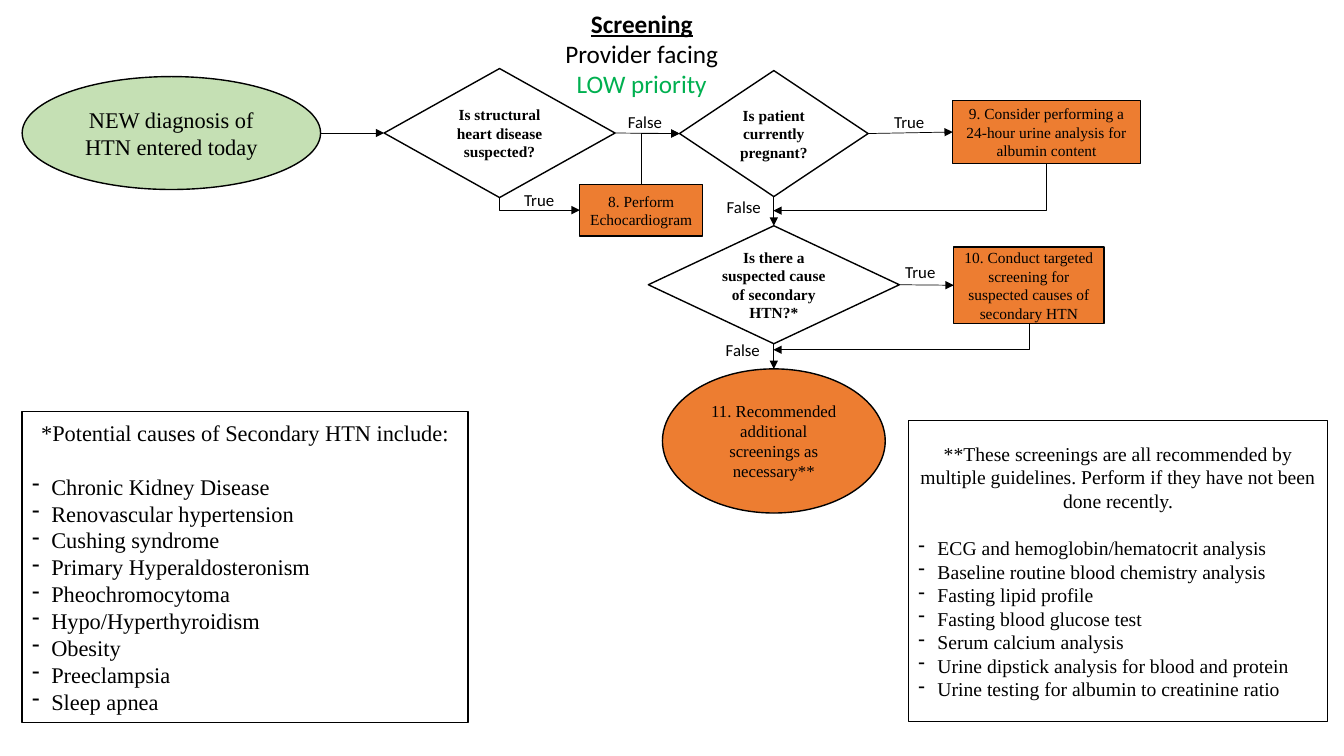
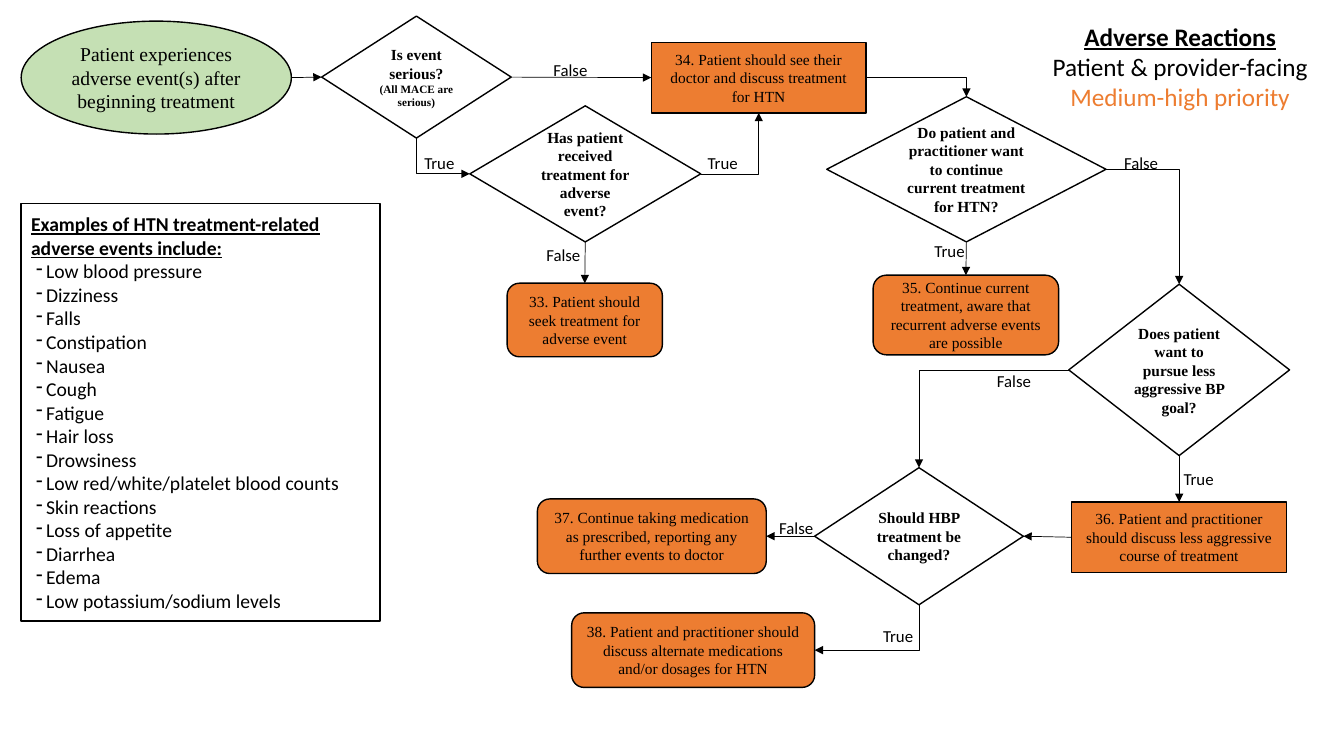
import typing

import pptx
import pptx.dml.color
import pptx.enum.shapes
import pptx.enum.text
import pptx.oxml.ns
import pptx.util
from lxml import etree

Inches = pptx.util.Inches
Pt = pptx.util.Pt
Form = pptx.enum.shapes.MSO_SHAPE
Link = pptx.enum.shapes.MSO_CONNECTOR
Align = pptx.enum.text.PP_ALIGN
Anchor = pptx.enum.text.MSO_ANCHOR

HUES = {"ink": "000000", "paper": "FFFFFF", "start": "C5E0B4",
        "act": "ED7D31", "low": "00B050"}
SERIF, SANS = "Times New Roman", "Calibri"


class Kind(typing.NamedTuple):
    form: typing.Any
    fill: str | None
    bold: bool = False


KINDS = {
    "start": Kind(Form.OVAL, "start"),
    "ask": Kind(Form.DIAMOND, None, True),
    "act": Kind(Form.RECTANGLE, "act"),
    "end": Kind(Form.ROUNDED_RECTANGLE, "act"),
    "last": Kind(Form.OVAL, "act"),
    "note": Kind(Form.RECTANGLE, "paper"),
}


class Box(typing.NamedTuple):
    kind: str
    left: float
    top: float
    wide: float
    high: float
    text: str = ""
    size: float = 11
    small: str = ""


Spot = tuple[float, float]
End = str | Spot  # "name side" or a free point


class Arrow(typing.NamedTuple):
    start: End
    stop: End
    turn: str = ""  # first leg of an elbow: "h" or "v"


class Label(typing.NamedTuple):
    text: str
    left: float
    top: float


class Note(typing.NamedTuple):
    box: Box
    head: str
    items: list[str]
    size: float
    font: str
    strong: bool  # bold, underlined heading on the left
    gap: float
    hang: float
    dent: float


class Title(typing.NamedTuple):
    left: float
    top: float
    wide: float
    name: str
    users: str
    rank: str
    hue: str


class Page(typing.NamedTuple):
    title: Title
    boxes: dict[str, Box]
    arrows: list[Arrow]
    labels: list[Label]
    notes: list[Note]


def tint(hue: str) -> pptx.dml.color.RGBColor:
    return pptx.dml.color.RGBColor.from_string(HUES[hue])


def write(frame, text: str, *, size: float = 11, font: str = SERIF, hue: str = "ink",
          bold: bool = False, under: bool = False, align=Align.CENTER,
          after: float = 0, hang: float = 0, dent: float = 0) -> None:
    """Add one paragraph; a hang makes it a dash bullet."""
    para = frame.paragraphs[0]
    if para.runs:
        para = frame.add_paragraph()
    para.alignment, para.line_spacing = align, 1.0
    para.space_before, para.space_after = Pt(0), Pt(after)
    run = para.add_run()
    run.text = text
    run.font.name, run.font.size = font, Pt(size)
    run.font.bold, run.font.underline = bold, under
    run.font.color.rgb = tint(hue)
    if hang:
        props = para._p.get_or_add_pPr()
        props.set("marL", str(Inches(dent)))
        props.set("indent", str(-Inches(hang)))
        mark = etree.SubElement(props, pptx.oxml.ns.qn("a:buChar"))
        mark.set("char", "-")


def place(box: Box) -> tuple:
    return tuple(Inches(n) for n in (box.left, box.top, box.wide, box.high))


def draw_box(slide, box: Box):
    kind = KINDS[box.kind]
    shape = slide.shapes.add_shape(kind.form, *place(box))
    shape.shadow.inherit = False
    if kind.fill:
        shape.fill.solid()
        shape.fill.fore_color.rgb = tint(kind.fill)
    else:
        shape.fill.background()
    shape.line.color.rgb, shape.line.width = tint("ink"), Pt(1)
    shape.text_frame.vertical_anchor = Anchor.MIDDLE
    if box.text:
        write(shape.text_frame, box.text, size=box.size, bold=kind.bold)
    if box.small:
        write(shape.text_frame, box.small, size=8, bold=kind.bold)
    return shape


def draw_note(slide, note: Note) -> None:
    frame = draw_box(slide, note.box).text_frame
    write(frame, note.head, size=note.size, font=note.font, bold=note.strong,
          under=note.strong, after=note.gap,
          align=Align.LEFT if note.strong else Align.CENTER)
    for item in note.items:
        write(frame, item, size=note.size, font=note.font, align=Align.LEFT,
              hang=note.hang, dent=note.dent)


def find(end: End, boxes: dict[str, Box]) -> Spot:
    """Point at the middle of the named side, or the free point itself."""
    if not isinstance(end, str):
        return end
    name, side = end.split()
    box = boxes[name]
    across, down = {"top": (.5, 0), "left": (0, .5),
                    "base": (.5, 1), "right": (1, .5)}[side]
    return box.left + across * box.wide, box.top + down * box.high


def draw_arrow(slide, arrow: Arrow, boxes: dict[str, Box], shapes: dict) -> None:
    (x1, y1), (x2, y2) = find(arrow.start, boxes), find(arrow.stop, boxes)
    spin = 0
    if arrow.turn:
        # An elbow runs across then down; turn its frame for other routes
        midx, midy, dx, dy = (x1 + x2) / 2, (y1 + y2) / 2, x2 - x1, y2 - y1
        if arrow.turn == "h":
            spin = 180 if dx < 0 else 0
            dx, dy = (-dx, -dy) if spin else (dx, dy)
        else:
            spin = 270 if dx > 0 else 90
            dx, dy = (-dy, dx) if spin == 270 else (dy, -dx)
        x1, x2, y1, y2 = midx - dx / 2, midx + dx / 2, midy - dy / 2, midy + dy / 2
    ends = [Inches(n) for n in (x1, y1, x2, y2)]
    line = slide.shapes.add_connector(Link.ELBOW if arrow.turn else Link.STRAIGHT, *ends)
    # Glue the ends to four-sided shapes, then restore the frame
    for end, glue in ((arrow.start, line.begin_connect), (arrow.stop, line.end_connect)):
        if isinstance(end, str):
            name, side = end.split()
            if KINDS[boxes[name].kind].form != Form.OVAL:
                glue(shapes[name], ["top", "left", "base", "right"].index(side))
    line.begin_x, line.begin_y, line.end_x, line.end_y = ends
    line.line.color.rgb, line.line.width = tint("ink"), Pt(0.5)
    props = line._element.spPr
    if arrow.turn:
        props.find(pptx.oxml.ns.qn("a:prstGeom")).set("prst", "bentConnector2")
        props.find(pptx.oxml.ns.qn("a:xfrm")).set("rot", str(spin * 60000))
    tip = etree.SubElement(line.line._get_or_add_ln(), pptx.oxml.ns.qn("a:tailEnd"))
    tip.set("type", "triangle")
    etree.SubElement(props, pptx.oxml.ns.qn("a:effectLst"))


def draw_label(slide, label: Label) -> None:
    text = slide.shapes.add_textbox(Inches(label.left), Inches(label.top),
                                    Inches(.57), Inches(.3))
    text.text_frame.word_wrap = False
    write(text.text_frame, label.text, size=12, font=SANS, align=Align.LEFT)


def draw_title(slide, title: Title) -> None:
    shape = slide.shapes.title
    shape.left, shape.top = Inches(title.left), Inches(title.top)
    shape.width, shape.height = Inches(title.wide), Inches(1.01)
    frame = shape.text_frame
    frame.word_wrap, frame.vertical_anchor = True, Anchor.TOP
    frame.auto_size = pptx.enum.text.MSO_AUTO_SIZE.NONE
    write(frame, title.name, size=18, font=SANS, bold=True, under=True)
    write(frame, title.users, size=18, font=SANS)
    write(frame, title.rank, size=18, font=SANS, hue=title.hue)


def draw_page(deck, page: Page) -> None:
    slide = deck.slides.add_slide(deck.slide_layouts.get_by_name("Title Only"))
    draw_title(slide, page.title)
    shapes = {name: draw_box(slide, box) for name, box in page.boxes.items()}
    for arrow in page.arrows:
        draw_arrow(slide, arrow, page.boxes, shapes)
    for label in page.labels:
        draw_label(slide, label)
    for note in page.notes:
        draw_note(slide, note)


# Screening flow
SCREEN = Page(
    Title(4.68, .03, 3.37, "Screening", "Provider facing", "LOW priority", "low"),
    {
        "new": Box("start", .22, .76, 2.96, 1.12, "NEW diagnosis of HTN entered today", 16),
        "heart": Box("ask", 3.81, .68, 2.29, 1.28, "Is structural heart disease suspected?"),
        "preg": Box("ask", 6.74, .7, 1.87, 1.25, "Is patient currently pregnant?"),
        "echo": Box("act", 5.75, 1.83, 1.22, .51, "8. Perform Echocardiogram"),
        "cause": Box("ask", 6.43, 2.24, 2.49, 1.17,
                     "Is there a suspected cause of secondary HTN?*"),
        "urine": Box("act", 9.45, 1, 1.86, .62,
                     "9. Consider performing a 24-hour urine analysis for albumin content"),
        "target": Box("act", 9.46, 2.45, 1.49, .76,
                      "10. Conduct targeted screening for suspected causes of secondary HTN"),
        "more": Box("last", 6.57, 3.66, 2.21, 1.43,
                    "11. Recommended additional screenings as necessary**", 12),
    },
    [
        Arrow("new right", "heart left"), Arrow("heart right", "preg left"),
        Arrow("heart base", "echo left", "v"), Arrow("echo top", "preg left", "v"),
        Arrow("preg right", "urine left"), Arrow("preg base", "cause top"),
        Arrow("urine base", (7.67, 2.09), "v"), Arrow("cause right", "target left"),
        Arrow("cause base", "more top"), Arrow("target base", (7.67, 3.47), "v"),
    ],
    [Label("False", 6.13, 1.06), Label("True", 5.1, 1.83), Label("True", 8.77, 1.06),
     Label("False", 7.11, 1.9), Label("True", 8.88, 2.55), Label("False", 7.1, 3.32)],
    [
        Note(Box("note", .22, 4.08, 4.42, 3.09), "*Potential causes of Secondary HTN include:",
             ["Chronic Kidney Disease", "Renovascular hypertension", "Cushing syndrome",
              "Primary Hyperaldosteronism", "Pheochromocytoma", "Hypo/Hyperthyroidism",
              "Obesity", "Preeclampsia", "Sleep apnea"], 16, SERIF, False, 19, .19, .19),
        Note(Box("note", 9.01, 4.17, 4.16, 2.99),
             "**These screenings are all recommended by multiple guidelines. "
             "Perform if they have not been done recently.",
             ["ECG and hemoglobin/hematocrit analysis",
              "Baseline routine blood chemistry analysis", "Fasting lipid profile",
              "Fasting blood glucose test", "Serum calcium analysis",
              "Urine dipstick analysis for blood and protein",
              "Urine testing for albumin to creatinine ratio"],
             14, SERIF, False, 17, .19, .19),
    ])

# Adverse event flow
ADVERSE = Page(
    Title(10.31, .16, 2.79, "Adverse Reactions", "Patient & provider-facing",
          "Medium-high priority", "act"),
    {
        "event": Box("start", .21, .21, 2.68, 1.12,
                     "Patient experiences adverse event(s) after beginning treatment", 14),
        "grave": Box("ask", 3.19, .16, 1.88, 1.21, "Is event serious?",
                     small="(All MACE are serious)"),
        "cared": Box("ask", 4.66, 1.05, 2.29, 1.35,
                     "Has patient received treatment for adverse event?"),
        "seek": Box("end", 5.03, 2.81, 1.54, .73,
                    "33. Patient should seek treatment for adverse event"),
        "doctor": Box("act", 6.46, .42, 2.13, .7,
                      "34. Patient should see their doctor and discuss treatment for HTN"),
        "keep": Box("ask", 8.2, .96, 2.77, 1.44,
                    "Do patient and practitioner want to continue current treatment for HTN?"),
        "aware": Box("end", 8.66, 2.73, 1.84, .79, "35. Continue current treatment, "
                     "aware that recurrent adverse events are possible"),
        "goal": Box("ask", 10.6, 2.82, 2.19, 1.7,
                    "Does patient want to pursue less aggressive BP goal?"),
        "less": Box("act", 10.63, 4.98, 2.13, .7, "36. Patient and practitioner "
                    "should discuss less aggressive course of treatment"),
        "change": Box("ask", 8.08, 4.64, 2.07, 1.36, "Should HBP treatment be changed?"),
        "report": Box("end", 5.33, 4.95, 2.27, .74, "37. Continue taking medication as "
                      "prescribed, reporting any further events to doctor"),
        "swap": Box("end", 5.67, 6.08, 2.41, .74, "38. Patient and practitioner should "
                    "discuss alternate medications and/or dosages for HTN"),
    },
    [
        Arrow("event right", "grave left"), Arrow("grave right", "doctor left"),
        Arrow("grave base", "cared left", "v"), Arrow("cared base", "seek top"),
        Arrow("cared right", "doctor base", "h"), Arrow("doctor right", "keep top", "h"),
        Arrow("keep base", "aware top"), Arrow("keep right", "goal top", "h"),
        Arrow("goal base", "less top"), Arrow("goal left", "change top", "h"),
        Arrow("less left", "change right"), Arrow("change left", "report right"),
        Arrow("change base", "swap right", "v"),
    ],
    [Label("False", 5.39, .54), Label("True", 4.11, 1.47), Label("True", 6.92, 1.47),
     Label("False", 5.32, 2.38), Label("True", 9.17, 2.34), Label("False", 11.05, 1.47),
     Label("False", 9.79, 3.63), Label("True", 11.64, 4.6), Label("False", 7.63, 5.09),
     Label("True", 8.66, 6.16)],
    [Note(Box("note", .21, 2.02, 3.56, 4.14),
          "Examples of HTN treatment-related adverse events include:",
          ["Low blood pressure", "Dizziness", "Falls", "Constipation", "Nausea", "Cough",
           "Fatigue", "Hair loss", "Drowsiness", "Low red/white/platelet blood counts",
           "Skin reactions", "Loss of appetite", "Diarrhea", "Edema",
           "Low potassium/sodium levels"], 14, SANS, True, 0, .1, .15)])

deck = pptx.Presentation()
deck.slide_width, deck.slide_height = Inches(13.33), Inches(7.5)
for page in (SCREEN, ADVERSE):
    draw_page(deck, page)
deck.save("out.pptx")
